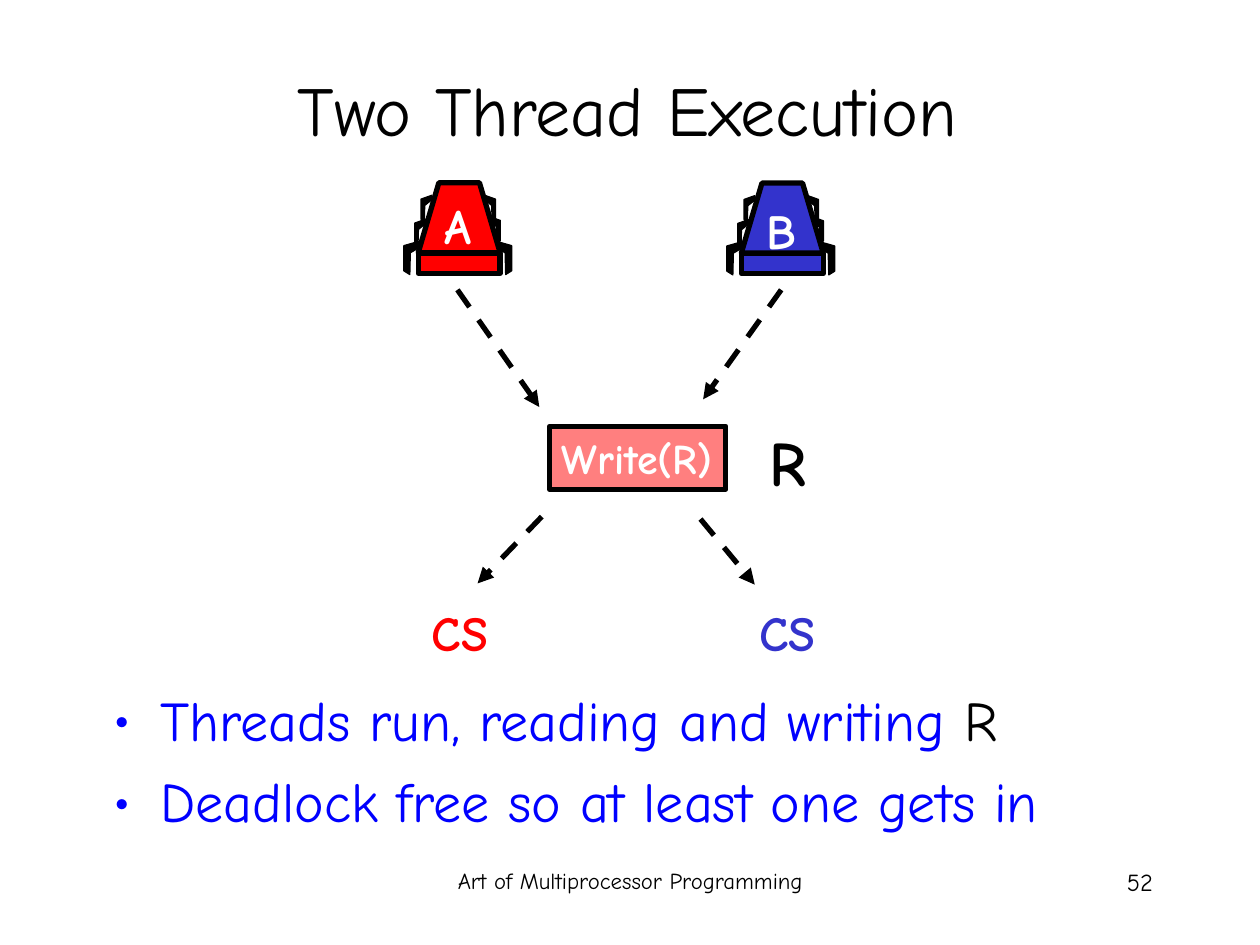
from lxml.etree import SubElement
from pptx import Presentation
from pptx.dml.color import RGBColor
from pptx.enum.dml import MSO_LINE
from pptx.enum.shapes import MSO_CONNECTOR, MSO_SHAPE
from pptx.enum.text import MSO_ANCHOR, MSO_AUTO_SIZE, PP_ALIGN
from pptx.oxml.ns import qn
from pptx.util import Pt

COLORS = {"black": "000000", "white": "FFFFFF", "red": "FF0000",
          "indigo": "3333CC", "blue": "0000FF"}
FONT = "Comic Neue"

# Leg outlines, drawn for the right side and mirrored for the left
LONG_LEG = [(0, 0), (10.2, 2.9), (10.2, 17.3), (6.8, 19.4), (6.5, 7), (0.6, 3.5)]
SHORT_LEG = [(0, 0), (6.1, 2.2), (6.1, 13.7), (4.3, 15.8), (4, 5.8), (0.4, 2.9)]
# Outline, left of its inner corner, top, direction
LOWER_LEGS = [(LONG_LEG, 51.8, 33.1, 1), (SHORT_LEG, 49.4, 19.4, 1),
              (LONG_LEG, 10.6, 33.1, -1), (SHORT_LEG, 12.7, 20.9, -1)]
UPPER_LEGS = [(SHORT_LEG, 46.6, 7.2, 1), (SHORT_LEG, 16.3, 7.2, -1)]
TRAPEZOID = [(8.6, 40), (20.4, 0), (43.6, 0), (55.4, 40)]


def rgb(name):
    return RGBColor.from_string(COLORS[name])


def set_values(target, values):
    for name, value in values.items():
        setattr(target, name, value)


def format_font(font, size, color, bold=False):
    set_values(font, {"name": FONT, "size": Pt(size), "bold": bold})
    font.color.rgb = rgb(color)


def paint(shape, fill, line_width):
    shape.shadow.inherit = False
    shape.fill.solid()
    shape.fill.fore_color.rgb = rgb(fill)
    shape.line.color.rgb = rgb("black")
    shape.line.width = Pt(line_width)


def write(shape, text, size, color, align, bold=False, wrap=False):
    frame = shape.text_frame
    set_values(frame, {
        "word_wrap": wrap, "vertical_anchor": MSO_ANCHOR.TOP,
        "auto_size": MSO_AUTO_SIZE.NONE if wrap else MSO_AUTO_SIZE.SHAPE_TO_FIT_TEXT})
    paragraph = frame.paragraphs[0]
    paragraph.alignment = align
    run = paragraph.add_run()
    run.text = text
    format_font(run.font, size, color, bold)


def add_label(shapes, box, *text_format, **options):
    write(shapes.add_textbox(*map(Pt, box)), *text_format, **options)


def add_outline(shapes, points, fill, line_width):
    corners = [(Pt(x), Pt(y)) for x, y in points]
    builder = shapes.build_freeform(*corners[0], scale=1.0)
    builder.add_line_segments(corners[1:], close=True)
    paint(builder.convert_to_shape(), fill, line_width)


def add_legs(shapes, left, top, legs):
    for outline, leg_left, leg_top, direction in legs:
        points = [(left + leg_left + direction * x, top + leg_top + y)
                  for x, y in outline]
        add_outline(shapes, points, "black", 0.75)


def add_thread(slide, left, top, name, color, label_top):
    """Draw one thread as a many-legged body with its letter."""
    shapes = slide.shapes.add_group_shape().shapes
    add_legs(shapes, left, top, LOWER_LEGS)
    add_outline(shapes, [(left + x, top + y) for x, y in TRAPEZOID], color, 3)
    base = shapes.add_shape(MSO_SHAPE.RECTANGLE, Pt(left + 8.6), Pt(top + 40.3),
                            Pt(46.8), Pt(11.5))
    paint(base, color, 3)
    add_legs(shapes, left, top, UPPER_LEGS)
    add_label(shapes, (left + 16, top + label_top, 31, 41), name, 28, "white",
              PP_ALIGN.CENTER, bold=True)


def add_dashed_arrow(slide, start, end):
    arrow = slide.shapes.add_connector(MSO_CONNECTOR.STRAIGHT,
                                       *map(Pt, start + end))
    arrow.line.color.rgb = rgb("black")
    set_values(arrow.line, {"width": Pt(3), "dash_style": MSO_LINE.DASH})
    properties = arrow._element.spPr
    SubElement(properties.find(qn("a:ln")), qn("a:tailEnd"), type="triangle")
    SubElement(properties, qn("a:effectLst"))


def add_register(slide, left, top, width, height):
    """Draw the half-transparent write box and the register name beside it."""
    box = slide.shapes.add_shape(MSO_SHAPE.RECTANGLE,
                                 *map(Pt, (left, top, width, height)))
    paint(box, "red", 3)
    color = box._element.spPr.find(qn("a:solidFill"))[0]
    SubElement(color, qn("a:alpha"), val="50000")
    write(box, "Write(R)", 24, "white", PP_ALIGN.LEFT, bold=True)
    add_label(slide.shapes, (left + width + 18, top - 5, 35, 50), "R", 36,
              "black", PP_ALIGN.LEFT, bold=True)


def add_title(slide, left, top, width, height):
    title = slide.shapes.title
    set_values(title, {"left": Pt(left), "top": Pt(top),
                       "width": Pt(width), "height": Pt(height)})
    write(title, "Two Thread Execution", 40, "black", PP_ALIGN.CENTER, wrap=True)
    title.text_frame.vertical_anchor = MSO_ANCHOR.MIDDLE


def add_bullets(slide, left, top, width, height, items):
    frame = slide.shapes.add_textbox(*map(Pt, (left, top, width, height))).text_frame
    frame.word_wrap = True
    for index, runs in enumerate(items):
        paragraph = frame.add_paragraph() if index else frame.paragraphs[0]
        if index:
            paragraph.space_before = Pt(8)
        properties = paragraph._p.get_or_add_pPr()
        properties.set("marL", str(Pt(27)))
        properties.set("indent", str(Pt(-27)))
        bullet_color = SubElement(properties, qn("a:buClr"))
        SubElement(bullet_color, qn("a:srgbClr"), val=COLORS["blue"])
        SubElement(properties, qn("a:buFont"), typeface=FONT)
        SubElement(properties, qn("a:buChar"), char="•")
        for text, color in runs:
            run = paragraph.add_run()
            run.text = text
            format_font(run.font, 32, color)


def add_footer(slide, top, height):
    add_label(slide.shapes, (246, top, 228, height),
              "Art of Multiprocessor Programming", 13, "black",
              PP_ALIGN.CENTER, wrap=True)
    add_label(slide.shapes, (516, top, 150, height), "52", 14, "black",
              PP_ALIGN.RIGHT, wrap=True)


def main():
    presentation = Presentation()
    set_values(presentation, {"slide_width": Pt(720), "slide_height": Pt(540)})
    slide = presentation.slides.add_slide(presentation.slide_layouts[5])
    add_footer(slide, 492, 36)
    add_title(slide, 52.5, 17, 612, 90)
    add_bullets(slide, 57.6, 388, 612, 98.6, [
        [("Threads run, reading and writing ", "blue"), ("R", "black")],
        [("Deadlock free so at least one gets in", "blue")]])
    add_thread(slide, 230.4, 104.4, "A", "red", 3.6)
    add_thread(slide, 415, 104.6, "B", "indigo", 6.3)
    add_register(slide, 314, 243.6, 100.8, 36)
    for start, end in [((261.4, 165.6), (308.2, 232.6)),
                       ((446.4, 165.6), (401.8, 228.2)),
                       ((309.6, 295.2), (272.9, 333.4)),
                       ((400.3, 296.6), (431.3, 334.1))]:
        add_dashed_arrow(slide, start, end)
    for left, color in [(225.8, "red"), (413, "indigo")]:
        add_label(slide.shapes, (left, 340.6, 60, 41), "CS", 28, color,
                  PP_ALIGN.RIGHT, bold=True, wrap=True)
    presentation.save("out.pptx")


if __name__ == "__main__":
    main()
